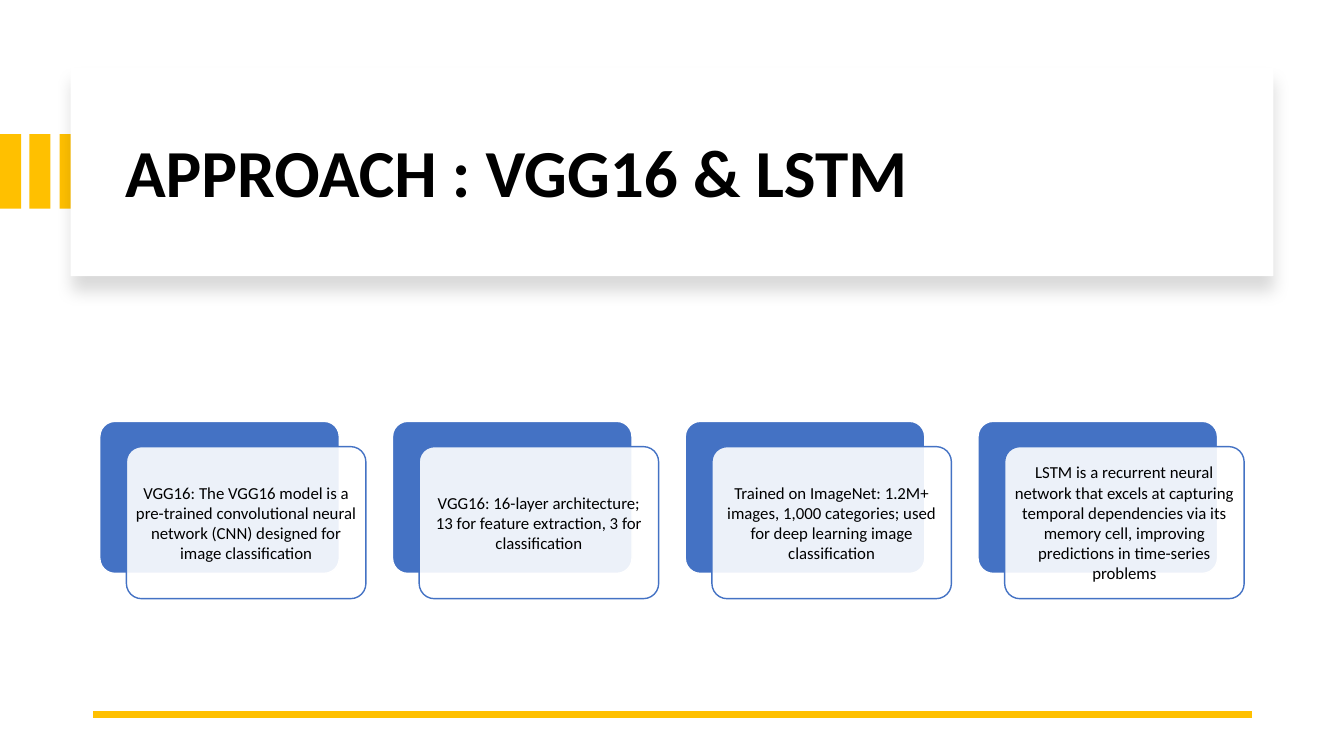
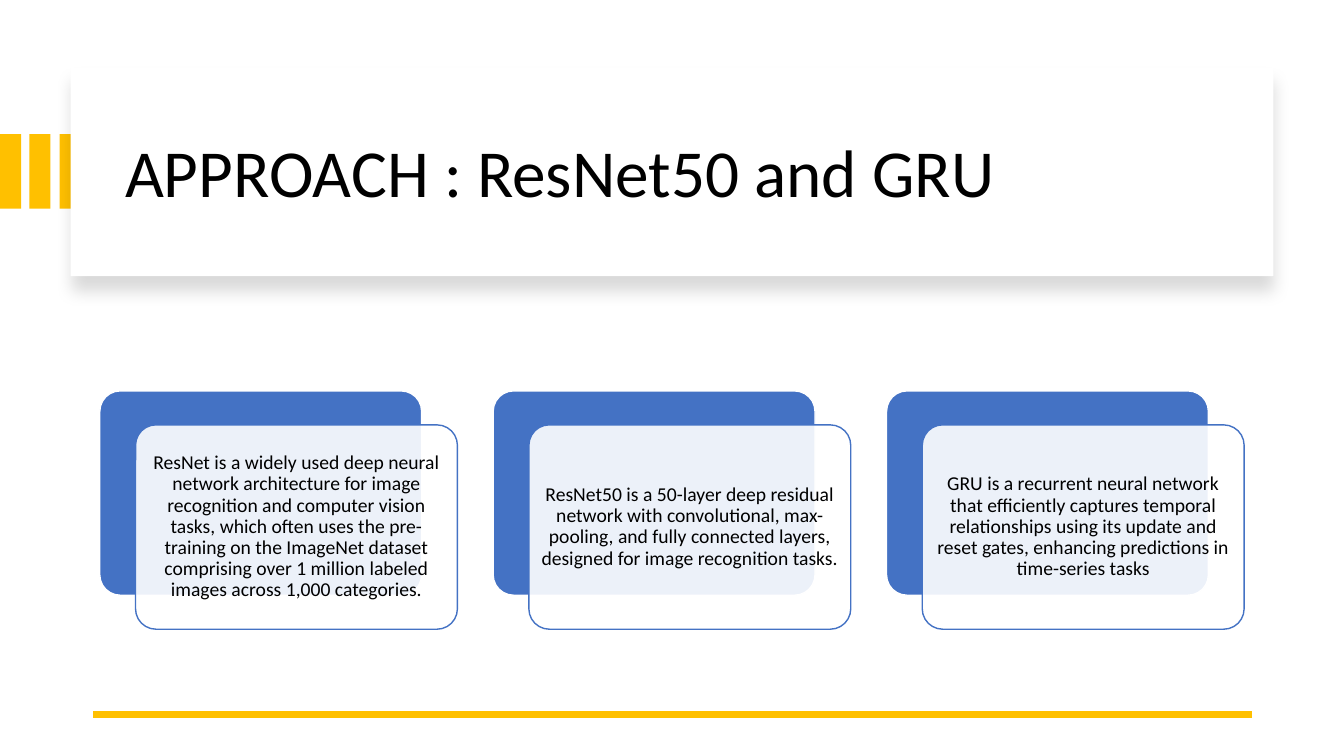
"""Build two slides on the modelling approach, each with a title panel and a row of stacked cards."""
import pptx
import pptx.util
import pptx.dml.color
import pptx.enum.shapes
import pptx.enum.text
from lxml import etree
from pptx.oxml.ns import qn

Inches = pptx.util.Inches
Pt = pptx.util.Pt
RGBColor = pptx.dml.color.RGBColor
SHAPES = pptx.enum.shapes.MSO_SHAPE

GOLD = RGBColor(0xFF, 0xC0, 0x00)
BLUE = RGBColor(0x44, 0x72, 0xC4)
WHITE = RGBColor(0xFF, 0xFF, 0xFF)
BLACK = RGBColor(0x00, 0x00, 0x00)
FONT = "Calibri"

ROW_LEFT, ROW_WIDTH, ROW_MIDDLE = 0.99, 11.35, 5.06

APPROACHES = [
    {
        "title": "APPROACH : VGG16 & LSTM",
        "bold": True,
        "size": 12,
        "spacing": 1.0,
        "inset": 0.05,
        "cards": [
            "VGG16: The VGG16 model is a pre-trained convolutional neural network (CNN) "
            "designed for image classification",
            "VGG16: 16-layer architecture; 13 for feature extraction, 3 for classification",
            "Trained on ImageNet: 1.2M+ images, 1,000 categories; used for deep learning "
            "image classification",
            "LSTM is a recurrent neural network that excels at capturing temporal dependencies "
            "via its memory cell, improving predictions in time-series problems",
        ],
    },
    {
        "title": "APPROACH : ResNet50 and GRU",
        "bold": False,
        "size": 14,
        "spacing": 0.9,
        "inset": 0.06,
        "cards": [
            "ResNet is a widely used deep neural network architecture for image recognition and "
            "computer vision tasks, which often uses the pre-training on the ImageNet dataset "
            "comprising over 1 million labeled images across 1,000 categories.",
            "ResNet50 is a 50-layer deep residual network with convolutional, max-pooling, and "
            "fully connected layers, designed for image recognition tasks.",
            "GRU is a recurrent neural network that efficiently captures temporal relationships "
            "using its update and reset gates, enhancing predictions in time-series tasks",
        ],
    },
]


def add_block(slide, kind, left, top, width, height, fill, outline=None):
    block = slide.shapes.add_shape(kind, Inches(left), Inches(top), Inches(width), Inches(height))
    block.shadow.inherit = False
    block.fill.solid()
    block.fill.fore_color.rgb = fill
    if outline is None:
        block.line.fill.background()
    else:
        block.line.color.rgb = outline
        block.line.width = Pt(1)
    if kind == SHAPES.ROUNDED_RECTANGLE:
        block.adjustments[0] = 0.1
    return block


def format_text(frame, size, bold, spacing, alignment):
    frame.word_wrap = True
    frame.auto_size = pptx.enum.text.MSO_AUTO_SIZE.NONE
    frame.vertical_anchor = pptx.enum.text.MSO_ANCHOR.MIDDLE
    paragraph = frame.paragraphs[0]
    paragraph.alignment = alignment
    paragraph.line_spacing = spacing
    font = paragraph.runs[0].font
    font.name = FONT
    font.size = Pt(size)
    font.bold = bold
    font.color.rgb = BLACK


deck = pptx.Presentation()
deck.slide_width = Inches(13.33)
deck.slide_height = Inches(7.5)

for approach in APPROACHES:
    slide = deck.slides.add_slide(deck.slide_layouts[5])

    for left in (0, 0.29, 0.59):
        add_block(slide, SHAPES.RECTANGLE, left, 1.33, 0.21, 0.74, GOLD)

    panel = add_block(slide, SHAPES.RECTANGLE, 0.7, 0.67, 11.93, 2.07, WHITE)
    effects = panel._element.spPr.find(qn("a:effectLst"))
    shadow = etree.SubElement(
        effects, qn("a:outerShdw"), blurRad=str(Pt(11)), dist=str(Pt(10)),
        dir="5400000", algn="t", rotWithShape="0")
    shade = etree.SubElement(shadow, qn("a:srgbClr"), val=str(BLACK))
    etree.SubElement(shade, qn("a:alpha"), val="15000")

    title = slide.shapes.title
    panel._element.addnext(title._element)
    title.left, title.top = Inches(1.14), Inches(0.89)
    title.width, title.height = Inches(11.13), Inches(1.7)
    title.text_frame.text = approach["title"]
    format_text(title.text_frame, 48, approach["bold"], 0.9, pptx.enum.text.PP_ALIGN.LEFT)

    footer_rule = slide.shapes.add_connector(
        pptx.enum.shapes.MSO_CONNECTOR.STRAIGHT,
        Inches(12.42), Inches(7.09), Inches(0.92), Inches(7.09))
    footer_rule.line.color.rgb = GOLD
    footer_rule.line.width = Pt(4.5)
    etree.SubElement(footer_rule._element.spPr, qn("a:effectLst"))

    step = ROW_WIDTH / (11 * len(approach["cards"]) - 1)
    drop = 0.95 * step
    width = 9 * step
    height = 0.635 * width
    top = ROW_MIDDLE - (height + drop) / 2

    for index, statement in enumerate(approach["cards"]):
        left = ROW_LEFT + index * 11 * step
        add_block(slide, SHAPES.ROUNDED_RECTANGLE, left, top, width, height, BLUE, WHITE)
        card = add_block(slide, SHAPES.ROUNDED_RECTANGLE,
                         left + step, top + drop, width, height, WHITE, BLUE)
        card_colour = card._element.spPr.find(qn("a:solidFill")).find(qn("a:srgbClr"))
        etree.SubElement(card_colour, qn("a:alpha"), val="90000")
        frame = card.text_frame
        frame.text = statement
        frame.margin_left = frame.margin_right = Inches(approach["inset"])
        frame.margin_top = frame.margin_bottom = Inches(approach["inset"])
        format_text(frame, approach["size"], False, approach["spacing"],
                    pptx.enum.text.PP_ALIGN.CENTER)

deck.save("out.pptx")
